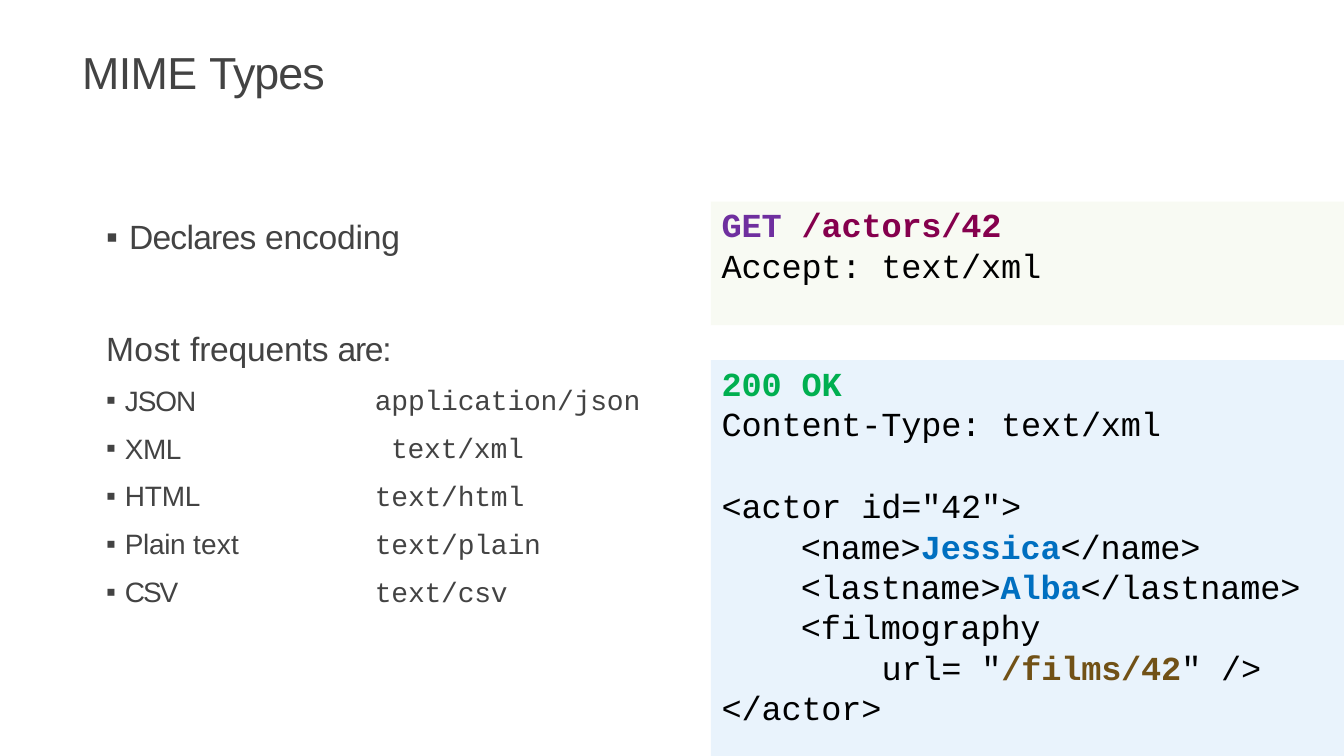
from lxml import etree
from pptx import Presentation
from pptx import util as u
from pptx.dml.color import RGBColor
from pptx.enum import shapes, text
from pptx.oxml import ns

GREY = RGBColor(0x43, 0x43, 0x43)
BLACK = RGBColor(0, 0, 0)
PURPLE = RGBColor(0x6F, 0x2F, 0x9F)
WINE = RGBColor(0x85, 0x00, 0x4D)
GREEN = RGBColor(0x00, 0xAF, 0x50)
BLUE = RGBColor(0x00, 0x6F, 0xC0)
BROWN = RGBColor(0x71, 0x51, 0x16)
CREAM = RGBColor(0xF8, 0xFA, 0xF3)
SKY = RGBColor(0xE9, 0xF3, 0xFC)
SANS, MONO = "Arial", "Courier New"


class Deck:
    def __init__(self):
        self.prs = Presentation()
        self.prs.slide_width = u.Inches(10)
        self.prs.slide_height = u.Inches(10 * 9 / 16)
        self.slide = self.prs.slides.add_slide(self.prs.slide_layouts[6])

    def panel(self, x, y, w, h, fill):
        box = self.slide.shapes.add_shape(
            shapes.MSO_SHAPE.RECTANGLE, *map(u.Inches, (x, y, w, h)))
        box.shadow.inherit = False
        box.fill.solid()
        box.fill.fore_color.rgb = fill
        box.line.fill.background()

    def frame(self, x, y, w, h, top=0.02):
        box = self.slide.shapes.add_textbox(*map(u.Inches, (x, y, w, h)))
        tf = box.text_frame
        tf.word_wrap = True
        tf.auto_size = text.MSO_AUTO_SIZE.NONE
        tf.margin_left = tf.margin_right = tf.margin_bottom = 0
        tf.margin_top = u.Inches(top)
        return tf

    def bullet(self, props, indent):
        etree.SubElement(props, ns.qn("a:buFont")).set("typeface", SANS)
        etree.SubElement(props, ns.qn("a:buChar")).set("char", "▪")
        tabs = etree.SubElement(props, ns.qn("a:tabLst"))
        tab = etree.SubElement(tabs, ns.qn("a:tab"))
        tab.set("pos", str(u.Inches(indent)))
        tab.set("algn", "l")

    def line(self, tf, runs, size, font=SANS, indent=0.02, hang=0,
             before=0, gap=None):
        """Add a paragraph; each run is (words, tracking, colour, bold)."""
        first = tf.paragraphs[0]
        para = first if not first.runs else tf.add_paragraph()
        props = para._p.get_or_add_pPr()
        props.set("marL", str(u.Inches(indent)))
        props.set("indent", str(-u.Inches(hang)))
        if hang:
            self.bullet(props, indent)
        para.space_before = u.Pt(before)
        if gap:
            para.line_spacing = gap
        para.font.size = u.Pt(size)
        para.font.name = font
        for words, track, color, bold in runs:
            run = para.add_run()
            run.text = words
            run.font.color.rgb = color
            run.font.bold = bold
            run._r.get_or_add_rPr().set("spc", str(round(track * 100)))

    def prose(self, tf, runs, size, **kind):
        self.line(tf, [(words, track, GREY, False) for words, track in runs],
                  size, **kind)

    def code(self, x, y, w, h, rows):
        """Rows are (indent, runs); a run is (words, colour), bold unless black."""
        tf = self.frame(x, y, w, h)
        for i, (indent, runs) in enumerate(rows):
            self.line(tf, [(words, -0.1, color, color != BLACK)
                           for words, color in runs],
                      18, MONO, indent, before=0 if i else 1)


def main():
    deck = Deck()

    # Title
    deck.prose(deck.frame(0.59, 0.31, 1.85, 0.43),
               [("MIME ", -0.3), ("Types", -0.5)], 24, before=1)

    # Lead points
    deck.prose(deck.frame(0.77, 1.59, 2.25, 0.33),
               [("Declares ", -0.4), ("encoding", -0.1)], 18,
               indent=0.19, hang=0.17, before=1)
    deck.prose(deck.frame(0.77, 2.42, 2.18, 0.33),
               [("Most ", 0.2), ("frequents ", -0.1), ("are:", -0.7)], 18,
               before=1)

    # Formats and their types
    names = deck.frame(0.77, 2.73, 1.05, 1.82, top=0.12)
    formats = [[("JSON", -0.6)], [("XML", -0.3)], [("HTML", -0.1)],
               [("Plain ", -0.2), ("text", 0.1)], [("CSV", -1.1)]]
    for i, runs in enumerate(formats):
        deck.prose(names, runs, 15, indent=0.16, hang=0.14,
                   before=7.7 if i else 8.8)

    types = deck.frame(2.77, 2.73, 2.03, 1.82, top=0.01)
    for kind, indent in (("application/json", 0.02), ("text/xml", 0.14),
                         ("text/html", 0.02), ("text/plain", 0.02),
                         ("text/csv", 0.02)):
        deck.prose(types, [(kind, -0.1)], 15, font=MONO, indent=indent,
                   gap=1.43)

    # Request
    deck.panel(5.29, 1.5, 4.71, 0.92, CREAM)
    deck.code(5.35, 1.5, 2.42, 0.63, [
        (0.02, [("GET ", PURPLE), ("/actors/42", WINE)]),
        (0.02, [("Accept: text/xml", BLACK)])])

    # Response
    deck.panel(5.29, 2.68, 4.71, 2.95, SKY)
    deck.code(5.35, 2.68, 3.31, 0.63, [
        (0.02, [("200 OK", GREEN)]),
        (0.02, [("Content-Type: text/xml", BLACK)])])
    deck.code(5.35, 3.59, 4.36, 1.83, [
        (0.02, [('<actor id="42">', BLACK)]),
        (0.61, [("<name>", BLACK), ("Jessica", BLUE), ("</name>", BLACK)]),
        (0.61, [("<lastname>", BLACK), ("Alba", BLUE),
                ("</lastname>", BLACK)]),
        (0.61, [("<filmography", BLACK)]),
        (1.21, [('url= "', BLACK), ("/films/42", BROWN), ('" />', BLACK)]),
        (0.02, [("</actor>", BLACK)])])

    deck.prs.save("out.pptx")


if __name__ == "__main__":
    main()
